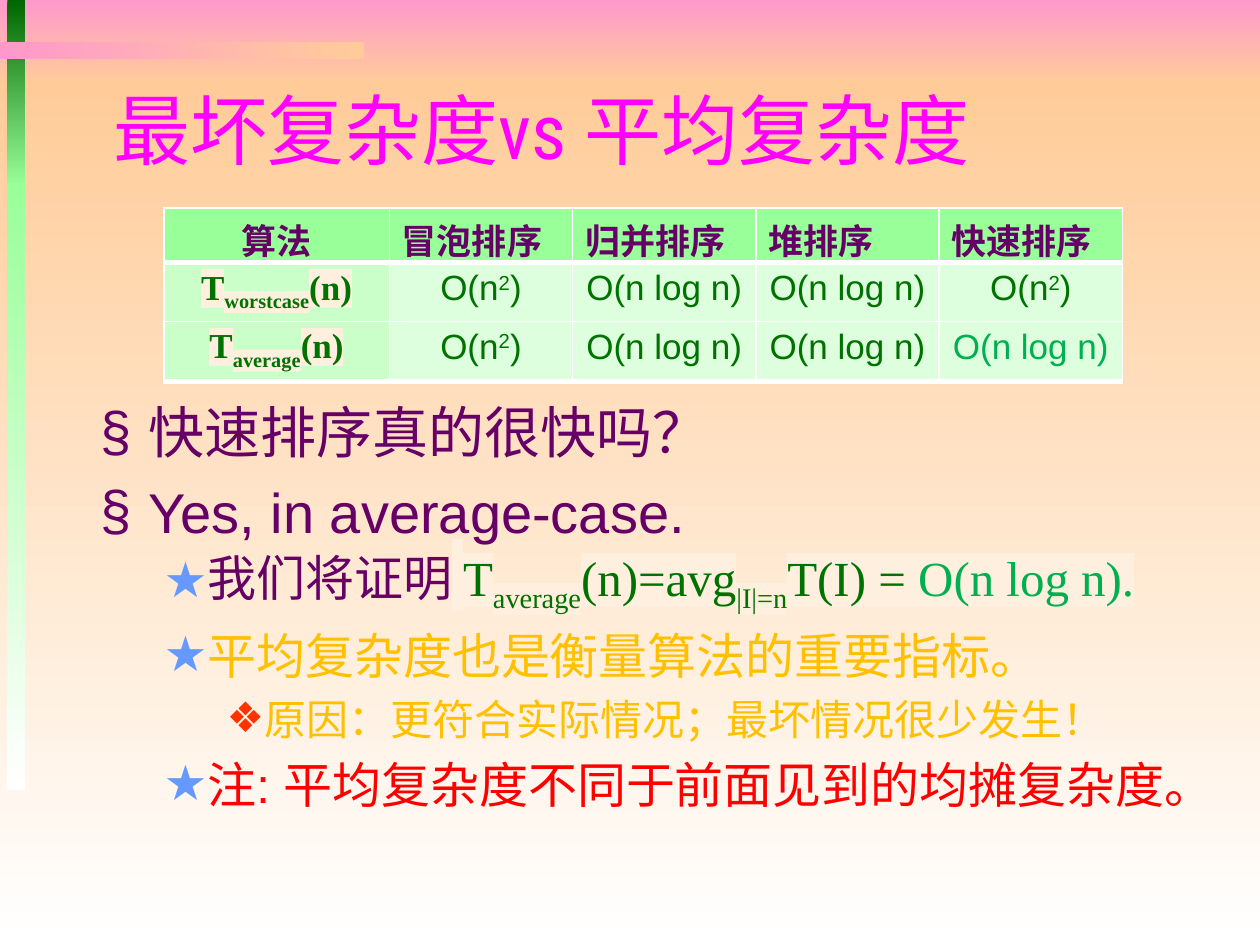
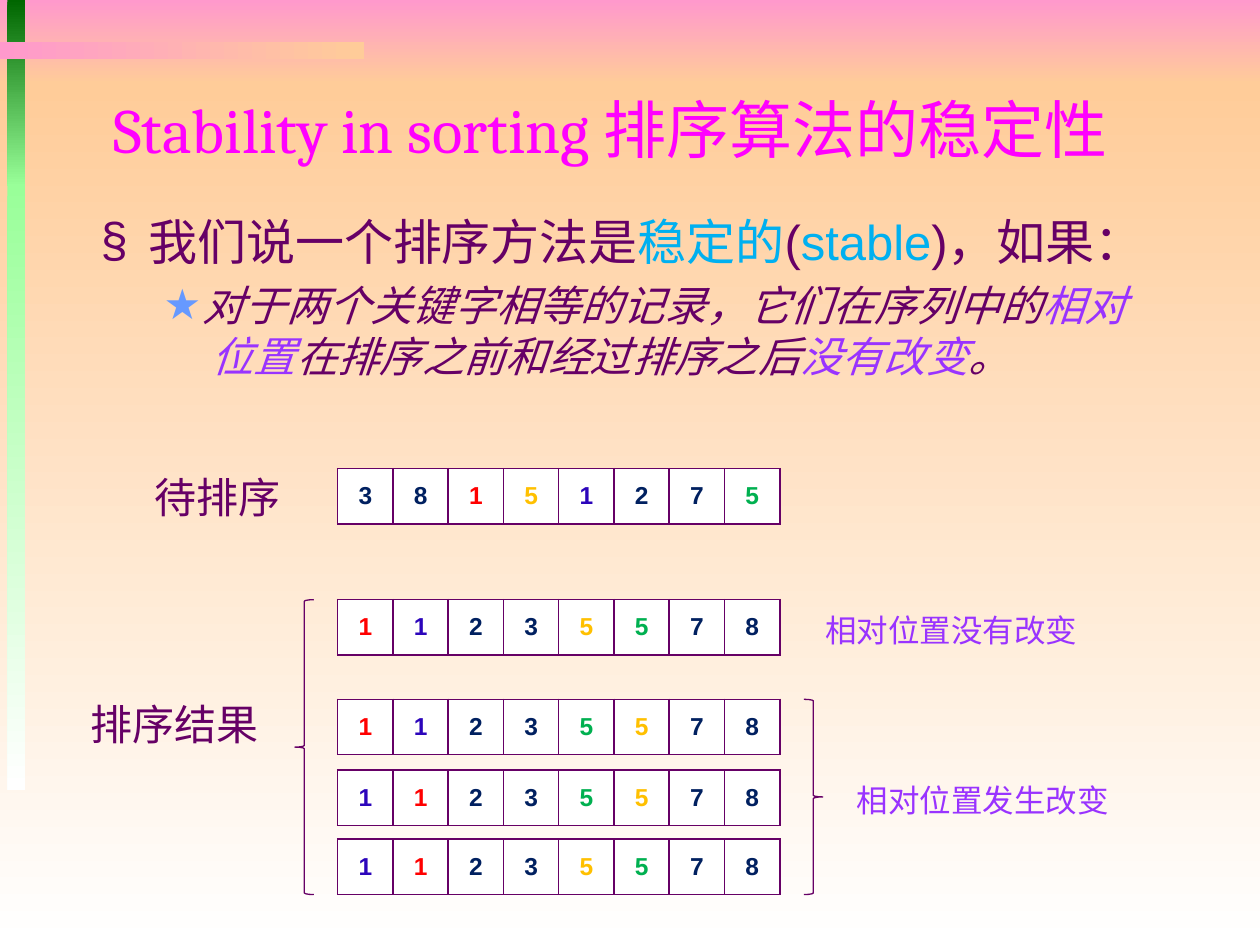
from dataclasses import dataclass, replace
from typing import NamedTuple, Optional

from lxml.etree import SubElement
from pptx import Presentation
from pptx.dml.color import RGBColor
from pptx.enum.shapes import MSO_SHAPE
from pptx.enum.text import MSO_ANCHOR, MSO_AUTO_SIZE, PP_ALIGN
from pptx.oxml.ns import qn
from pptx.util import Emu, Inches, Pt


@dataclass(frozen=True)
class Theme:
    pink: str = "FF99CC"
    peach: str = "FFCC99"
    deep_green: str = "006600"
    light_green: str = "99FF99"
    label_green: str = "CAFFCA"
    cell_green: str = "DEFFDE"
    white: str = "FFFFFF"
    title: str = "FF00FF"
    ink: str = "660066"
    formula: str = "007200"
    green: str = "00B050"
    gold: str = "FFC000"
    red: str = "FF0000"
    sky: str = "00B0F0"
    violet: str = "9933FF"
    navy: str = "002060"
    indigo: str = "2C05BB"
    star: str = "6699FF"
    diamond: str = "FF3300"
    glow: str = "FFEFDF"
    sans: str = "Arial"
    serif: str = "Times New Roman"
    title_sans: str = "Roboto Condensed"
    title_serif: str = "Cambria"
    chinese: str = "Noto Sans CJK SC"
    title_size: int = 44
    long_title_size: int = 36
    heading_size: int = 32
    point_size: int = 28
    detail_size: int = 24
    table_size: int = 20
    note_size: int = 18
    key_size: int = 14
    line_height: float = 1.22
    space_before: float = 0.2


T = Theme()

# The slide is a grid of 100 columns and 75 rows
WIDTH, HEIGHT = Inches(10), Inches(7.5)
COLUMN, ROW = WIDTH // 100, HEIGHT // 75


class Box(NamedTuple):
    column: float
    row: float
    columns: float
    rows: float

    def emu(self) -> tuple[Emu, ...]:
        units = (COLUMN, ROW, COLUMN, ROW)
        return tuple(Emu(round(n * unit)) for n, unit in zip(self, units))


class Band(NamedTuple):
    box: Box
    start: str
    end: str
    angle: int


@dataclass(frozen=True)
class Span:
    text: str
    color: str = T.ink
    face: str = T.sans
    baseline: int = 0
    highlight: Optional[str] = None
    bold: bool = False
    italic: bool = False


class Bullet(NamedTuple):
    mark: str
    margin: float
    hanging: float
    color: str


class Point(NamedTuple):
    level: int
    size: int
    spans: list[Span]


class KeyRow(NamedTuple):
    row: float
    keys: str


class Label(NamedTuple):
    box: Box
    text: str
    size: int
    color: str


class Brace(NamedTuple):
    box: Box
    kind: MSO_SHAPE


BANDS = [
    Band(Box(0, 0, 100, 6.7), T.pink, T.peach, 270),
    Band(Box(0, 6.7, 100, 68.3), T.peach, T.white, 270),
    Band(Box(0.6, 0, 1.4, 14.8), T.deep_green, T.light_green, 270),
    Band(Box(0.6, 14.6, 1.4, 48.1), T.light_green, T.white, 270),
    Band(Box(0, 3.3, 28.9, 1.4), T.pink, T.peach, 0),
]
TITLE_BOX = Box(8, 5.7, 85, 9)
BULLETS = [
    Bullet("§", 0.38, 0.38, T.ink),
    Bullet("★", 0.81, 0.31, T.star),
    Bullet("❖", 1.25, 0.25, T.diamond),
]


def rgb(color: str) -> RGBColor:
    return RGBColor.from_string(color)


# Text
def write_spans(paragraph, spans: list[Span], size: int) -> None:
    for span in spans:
        if span.text == "\n":
            paragraph.add_line_break()
            continue
        run = paragraph.add_run()
        run.text = span.text
        font = run.font
        font.size, font.bold, font.italic = Pt(size), span.bold, span.italic
        font.color.rgb = rgb(span.color)
        font.name = span.face
        properties = run._r.get_or_add_rPr()
        if span.baseline:
            properties.set("baseline", str(span.baseline * 1000))
        latin = properties.find(qn("a:latin"))
        if span.highlight:
            glow = SubElement(properties, qn("a:highlight"))
            SubElement(glow, qn("a:srgbClr"), val=span.highlight)
            latin.addprevious(glow)
        latin.addnext(SubElement(properties, qn("a:ea"), typeface=T.chinese))


def add_bullet(paragraph, bullet: Bullet) -> None:
    properties = paragraph._p.get_or_add_pPr()
    properties.set("marL", str(Inches(bullet.margin)))
    properties.set("indent", str(-Inches(bullet.hanging)))
    color = SubElement(properties, qn("a:buClr"))
    SubElement(color, qn("a:srgbClr"), val=bullet.color)
    SubElement(properties, qn("a:buFont"), typeface=T.sans)
    SubElement(properties, qn("a:buChar"), char=bullet.mark)


def add_points(slide, box: Box, top_inset: float, points: list[Point]) -> None:
    frame = slide.shapes.add_textbox(*box.emu()).text_frame
    frame.word_wrap = True
    frame.margin_top = Inches(top_inset)
    for i, point in enumerate(points):
        paragraph = frame.add_paragraph() if i else frame.paragraphs[0]
        paragraph.level = point.level
        paragraph.line_spacing = Pt(point.size * T.line_height)
        paragraph.space_before = Pt(point.size * T.space_before if i else 0)
        add_bullet(paragraph, BULLETS[point.level])
        write_spans(paragraph, point.spans, point.size)


def add_label(slide, label: Label) -> None:
    frame = slide.shapes.add_textbox(*label.box.emu()).text_frame
    frame.word_wrap = True
    frame.vertical_anchor = MSO_ANCHOR.MIDDLE
    write_spans(frame.paragraphs[0], [Span(label.text, label.color)], label.size)


# Shared slide frame
def add_slide(deck, title_spans: list[Span], size: int):
    slide = deck.slides.add_slide(deck.slide_layouts[5])
    for band in BANDS:
        shape = slide.shapes.add_shape(MSO_SHAPE.RECTANGLE, *band.box.emu())
        shape.shadow.inherit = False
        shape.line.fill.background()
        shape.fill.gradient()
        shape.fill.gradient_angle = band.angle
        for stop, color in zip(shape.fill.gradient_stops, (band.start, band.end)):
            stop.color.rgb = rgb(color)
    title = slide.shapes.title
    title.left, title.top, title.width, title.height = TITLE_BOX.emu()
    title.element.getparent().append(title.element)
    frame = title.text_frame
    frame.auto_size, frame.word_wrap = MSO_AUTO_SIZE.NONE, True
    frame.vertical_anchor = MSO_ANCHOR.MIDDLE
    frame.paragraphs[0].alignment = PP_ALIGN.LEFT
    write_spans(frame.paragraphs[0], title_spans, size)
    return slide


# Tables
def add_grid(slide, box: Box, row_count: int, column_count: int):
    table = slide.shapes.add_table(row_count, column_count, *box.emu()).table
    table.first_row = table.horz_banding = False
    return table


def fill_cell(cell, spans: list[Span], size: int, fill: str, line: str,
              bottom: float = 1, centred: bool = True) -> None:
    cell.fill.solid()
    cell.fill.fore_color.rgb = rgb(fill)
    properties = cell._tc.get_or_add_tcPr()
    for i, (side, width) in enumerate(zip("LRTB", (1, 1, 1, bottom))):
        edge = SubElement(properties, qn(f"a:ln{side}"), w=str(Pt(width)))
        SubElement(SubElement(edge, qn("a:solidFill")), qn("a:srgbClr"), val=line)
        properties.insert(i, edge)
    paragraph = cell.text_frame.paragraphs[0]
    paragraph.alignment = PP_ALIGN.CENTER if centred else PP_ALIGN.LEFT
    write_spans(paragraph, spans, size)


def add_cost_table(slide, box: Box, rows: list[list[list[Span]]],
                   bottoms: list[float], has_header: bool) -> None:
    table = add_grid(slide, box, len(rows), len(rows[0]))
    table.columns[0].width = round(17.9 * COLUMN)
    for column in list(table.columns)[1:]:
        column.width = round((box.columns - 17.9) / 4 * COLUMN)
    for r, row in enumerate(rows):
        header = has_header and r == 0
        for c, spans in enumerate(row):
            body_fill = T.cell_green if c else T.label_green
            fill_cell(table.cell(r, c), spans, T.table_size,
                      T.light_green if header else body_fill, T.white,
                      bottoms[r], centred=not (header and c))


def add_key_table(slide, key_row: KeyRow) -> None:
    colors = {"r": T.red, "b": T.indigo, "y": T.gold, "g": T.green}
    keys = key_row.keys.split()
    table = add_grid(slide, Box(26.8, key_row.row, 35.1, 4.4), 1, len(keys))
    for cell, key in zip(table.rows[0].cells, keys):
        cell.margin_left = cell.margin_right = Inches(0.08)
        cell.margin_top = cell.margin_bottom = Inches(0.04)
        cell.vertical_anchor = MSO_ANCHOR.MIDDLE
        digit = Span(key[0], colors.get(key[1:], T.navy), bold=True)
        fill_cell(cell, [digit], T.key_size, T.white, T.ink)


def add_brace(slide, brace: Brace) -> None:
    shape = slide.shapes.add_shape(brace.kind, *brace.box.emu())
    shape.shadow.inherit = False
    shape.fill.background()
    shape.line.color.rgb = rgb(T.ink)
    shape.line.width = Pt(0.75)


# Slide 1: worst-case and average complexity
def build_complexity(deck) -> None:
    slide = add_slide(deck, [Span("最坏复杂度vs 平均复杂度", T.title, T.title_sans)],
                      T.title_size)
    formula = Span("", T.formula, T.serif, highlight=T.glow)
    definition = [(" T", 0), ("average", -25), ("(n)=avg", 0), ("|I|=n", -25), ("T(I) = ", 0)]
    proof = [replace(formula, text=text, baseline=base) for text, base in definition]
    result = replace(formula, text="O(n log n).", color=T.green)
    add_points(slide, Box(7, 15.9, 90.5, 52.7), 1.56, [
        Point(0, T.heading_size, [Span("快速排序真的很快吗？")]),
        Point(0, T.heading_size, [Span("Yes, in average-case.")]),
        Point(1, T.point_size, [Span("我们将证明"), *proof, result]),
        Point(1, T.point_size, [Span("平均复杂度也是衡量算法的重要指标。", T.gold)]),
        Point(2, T.detail_size,
              [Span("原因：更符合实际情况；最坏情况很少发生！", T.gold, T.serif)]),
        Point(1, T.point_size,
              [Span("注: 平均复杂度不同于前面见到的均摊复杂度。", T.red)]),
    ])

    def cost_name(case: str) -> list[Span]:
        bold = replace(formula, bold=True)
        return [replace(bold, text="T"), replace(bold, text=case, baseline=-25),
                replace(bold, text="(n)")]

    square = [Span("O(n", T.formula), Span("2", T.formula, baseline=30), Span(")", T.formula)]
    linear_log = [Span("O(n log n)", T.formula)]
    quick_average = [Span("O(n log n)", T.green)]
    algorithms = ["算法", "冒泡排序", "归并排序", "堆排序", "快速排序"]
    header = [[Span(name, bold=True)] for name in algorithms]
    worst = [cost_name("worstcase"), square, linear_log, linear_log, square]
    average = [cost_name("average"), square, linear_log, linear_log, quick_average]
    add_cost_table(slide, Box(13, 16.5, 76.1, 8.2), [header, worst], [3, 1], True)
    add_cost_table(slide, Box(13, 25.5, 76.1, 4.3), [average], [3], False)


# Slide 2: stability in sorting
def build_stability(deck) -> None:
    slide = add_slide(deck, [
        Span("Stability in sorting ", T.title, T.title_serif),
        Span("排序算法的", T.title, T.chinese),
        Span("稳定性", T.title, T.title_serif),
    ], T.long_title_size)
    rule = [("对于两个关键字相等的记录，它们在序列中的", T.ink), ("相对", T.violet),
            ("\n", T.ink), (" 位置", T.violet), ("在排序之前和经过排序之后", T.ink),
            ("没有改变", T.violet), ("。", T.ink)]
    add_points(slide, Box(7, 15.9, 93, 15.9), 0.08, [
        Point(0, T.point_size, [Span("我们说一个排序方法是"), Span("稳定的", T.sky), Span("("),
                                Span("stable", T.sky), Span(")，如果：")]),
        Point(1, T.detail_size, [Span(text, color, italic=True) for text, color in rule]),
    ])
    for key_row in [
        KeyRow(37.2, "3 8 1r 5y 1b 2 7 5g"),
        KeyRow(47.6, "1r 1b 2 3 5y 5g 7 8"),
        KeyRow(55.5, "1r 1b 2 3 5g 5y 7 8"),
        KeyRow(61.1, "1b 1r 2 3 5g 5y 7 8"),
        KeyRow(66.6, "1b 1r 2 3 5y 5g 7 8"),
    ]:
        add_key_table(slide, key_row)
    for label in [
        Label(Box(11.3, 36.9, 13.6, 5), "待排序", T.detail_size, T.ink),
        Label(Box(6.2, 54.9, 16.1, 5), "排序结果", T.detail_size, T.ink),
        Label(Box(64.5, 48, 22.6, 4), "相对位置没有改变", T.note_size, T.violet),
        Label(Box(67, 61.5, 22.6, 4), "相对位置发生改变", T.note_size, T.violet),
    ]:
        add_label(slide, label)
    add_brace(slide, Brace(Box(23.4, 47.6, 1.5, 23.4), MSO_SHAPE.LEFT_BRACE))
    add_brace(slide, Brace(Box(63.8, 55.5, 1.5, 15.5), MSO_SHAPE.RIGHT_BRACE))


def main() -> None:
    deck = Presentation()
    deck.slide_width, deck.slide_height = WIDTH, HEIGHT
    build_complexity(deck)
    build_stability(deck)
    deck.save("out.pptx")


if __name__ == "__main__":
    main()
